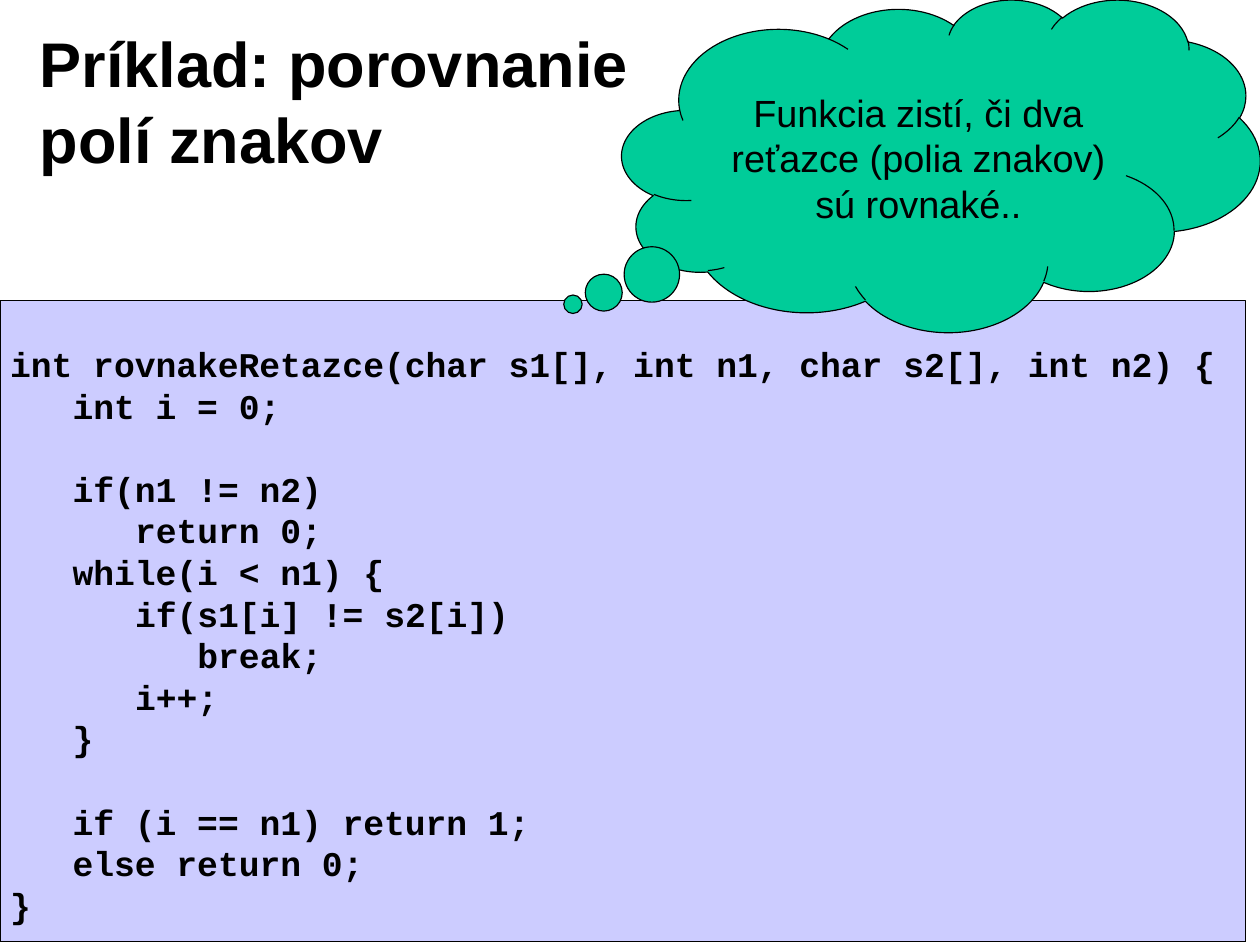
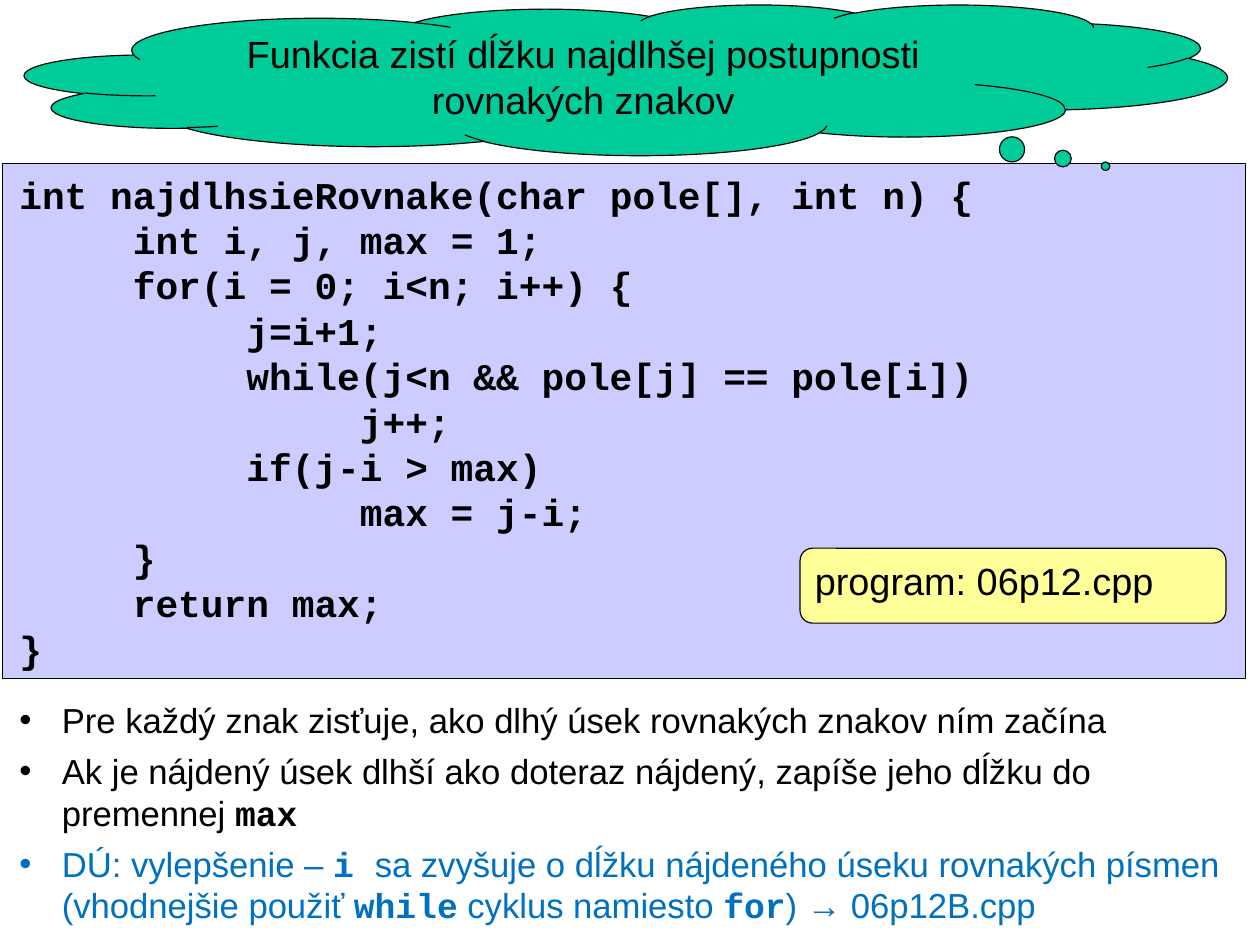
from dataclasses import dataclass

from pptx import Presentation
from pptx.dml.color import RGBColor
from pptx.enum.shapes import MSO_SHAPE
from pptx.enum.text import MSO_ANCHOR, MSO_AUTO_SIZE, PP_ALIGN
from pptx.util import Inches, Pt

# Content. Code lines are (level, text) or (level, text, blank lines above).
COMPARE = {
    "title": "Príklad: porovnanie polí znakov",
    "thought": "Funkcia zistí, či dva reťazce (polia znakov) sú rovnaké..",
    "code": [
        (0, "int rovnakeRetazce(char s1[], int n1, char s2[], int n2) {"),
        (1, "int i = 0;"),
        (1, "if(n1 != n2)", 1),
        (2, "return 0;"),
        (1, "while(i < n1) {"),
        (2, "if(s1[i] != s2[i])"),
        (3, "break;"),
        (2, "i++;"),
        (1, "}"),
        (1, "if (i == n1) return 1;", 1),
        (1, "else return 0;"),
        (0, "}"),
    ],
}
LONGEST = {
    "thought": "Funkcia zistí dĺžku najdlhšej postupnosti rovnakých znakov",
    "code": [
        (0, "int najdlhsieRovnake(char pole[], int n) {"),
        (1, "int i, j, max = 1;"),
        (1, "for(i = 0; i<n; i++) {"),
        (2, "j=i+1;"),
        (2, "while(j<n && pole[j] == pole[i])"),
        (3, "j++;"),
        (2, "if(j-i > max)"),
        (3, "max = j-i;"),
        (1, "}"),
        (1, "return max;"),
        (0, "}"),
    ],
    "program": "program: 06p12.cpp",
    # Every second piece of a point is code.
    "points": [
        ("ink", ["Pre každý znak zisťuje, ako dlhý úsek rovnakých znakov ním začína"]),
        ("ink", ["Ak je nájdený úsek dlhší ako doteraz nájdený, zapíše jeho dĺžku "
                 "do premennej ", "max"]),
        ("homework", ["DÚ: vylepšenie – ", "i ",
                      "sa zvyšuje o dĺžku nájdeného úseku rovnakých písmen "
                      "(vhodnejšie použiť ", "while", " cyklus namiesto ", "for",
                      ") → 06p12B.cpp"]),
    ],
}


@dataclass(frozen=True)
class Theme:
    """Colours, fonts and type sizes shared by the slides."""
    ink: str = "000000"
    homework: str = "0070C0"
    panel: str = "CCCCFF"
    cloud: str = "00CC99"
    label: str = "FFFF99"
    sans: str = "Arial"
    mono: str = "Courier New"
    title: int = 40
    note: int = 24
    small: int = 22
    leading: float = 1.2
    mono_advance: float = 0.6
    outline: float = 0.75


THEME = Theme()
prs = Presentation()
prs.slide_width, prs.slide_height = Inches(11.1), Inches(8.3)


def place(area):
    """Turn left, top, width, height in percent of the slide into lengths."""
    extents = (prs.slide_width, prs.slide_height) * 2
    return [int(share * extent / 100) for share, extent in zip(area, extents)]


def style(paragraph, size, face=THEME.sans, color=THEME.ink, bold=False):
    """Set the font and leading of a whole paragraph."""
    font = paragraph.font
    font.name, font.size, font.bold = face, Pt(size), bold
    font.color.rgb = RGBColor.from_string(color)
    paragraph.line_spacing = Pt(size * THEME.leading)


def add_box(slide, preset, area, fill, adjustments=()):
    """Add a filled, thinly outlined shape with top-left text."""
    box = slide.shapes.add_shape(preset, *place(area))
    for index, value in enumerate(adjustments):
        box.adjustments[index] = value
    box.shadow.inherit = False
    box.fill.solid()
    box.fill.fore_color.rgb = RGBColor.from_string(fill)
    box.line.color.rgb = RGBColor.from_string(THEME.ink)
    box.line.width = Pt(THEME.outline)
    box.text_frame.word_wrap = True
    box.text_frame.vertical_anchor = MSO_ANCHOR.TOP
    return box


def add_code(slide, area, lines, size, indent_chars, inset):
    """Add a code panel, indented by a number of characters per level."""
    frame = add_box(slide, MSO_SHAPE.RECTANGLE, area, THEME.panel).text_frame
    frame.margin_left, frame.margin_top = map(Inches, inset)
    frame.margin_right = 0
    step = Pt(indent_chars * size * THEME.mono_advance)
    for index, (level, text, *blank) in enumerate(lines):
        line = frame.add_paragraph() if index else frame.paragraphs[0]
        line.text = text
        line.alignment = PP_ALIGN.LEFT
        line._p.get_or_add_pPr().set("marL", str(level * step))
        line.space_before = Pt(sum(blank) * size * THEME.leading)
        style(line, size, THEME.mono, bold=True)


def add_note(slide, preset, area, fill, text, adjustments, align):
    """Add a shape holding one short remark."""
    frame = add_box(slide, preset, area, fill, adjustments).text_frame
    remark = frame.paragraphs[0]
    remark.text, remark.alignment = text, align
    style(remark, THEME.note)
    return frame


def add_thought(slide, area, text, tail):
    """Add a thought cloud whose bubbles lead towards tail."""
    frame = add_note(slide, MSO_SHAPE.CLOUD_CALLOUT, area, THEME.cloud,
                     text, tail, PP_ALIGN.CENTER)
    frame.vertical_anchor = MSO_ANCHOR.MIDDLE


def fit_placeholder(holder, area):
    """Move a placeholder and return its top-anchored text frame."""
    holder.left, holder.top, holder.width, holder.height = place(area)
    frame = holder.text_frame
    frame.word_wrap, frame.auto_size = True, MSO_AUTO_SIZE.NONE
    frame.vertical_anchor = MSO_ANCHOR.TOP
    return frame


def add_points(holder, area, points):
    """Fill the body placeholder with bullets that mix prose and code."""
    frame = fit_placeholder(holder, area)
    for index, (color, pieces) in enumerate(points):
        point = frame.add_paragraph() if index else frame.paragraphs[0]
        style(point, THEME.small, color=getattr(THEME, color))
        point.space_before = Pt(6 if index else 0)
        for position, piece in enumerate(pieces):
            run = point.add_run()
            run.text = piece
            if position % 2:
                run.font.name, run.font.bold = THEME.mono, True


def build_compare(content):
    """Build the slide on comparing character arrays."""
    slide = prs.slides.add_slide(prs.slide_layouts.get_by_name("Title Only"))
    heading = fit_placeholder(slide.shapes.title, (2.25, 2, 49.5, 20)).paragraphs[0]
    heading.text, heading.alignment = content["title"], PP_ALIGN.LEFT
    style(heading, THEME.title, bold=True)
    add_code(slide, (0, 31.93, 98.83, 68.07), content["code"],
             THEME.small, 3, (0.09, 0.37))
    add_thought(slide, (49.37, -0.1, 50.63, 35.3), content["thought"],
                (-0.577, 0.418))


def build_longest(content):
    """Build the slide on the longest run of equal characters."""
    slide = prs.slides.add_slide(prs.slide_layouts.get_by_name("Title and Content"))
    title = slide.shapes.title._element
    title.getparent().remove(title)
    add_points(slide.placeholders[1], (0.63, 73.6, 99.37, 25.5), content["points"])
    add_code(slide, (0.18, 17.35, 98.65, 54.7), content["code"],
             THEME.note, 5, (0.15, 0.07))
    add_thought(slide, (1.98, 0.48, 95.4, 16), content["thought"], (0.399, 0.573))
    add_note(slide, MSO_SHAPE.ROUNDED_RECTANGLE, (63.5, 58.2, 33.8, 7.95),
             THEME.label, content["program"], (0.167,), PP_ALIGN.LEFT)


build_compare(COMPARE)
build_longest(LONGEST)
prs.save("out.pptx")
